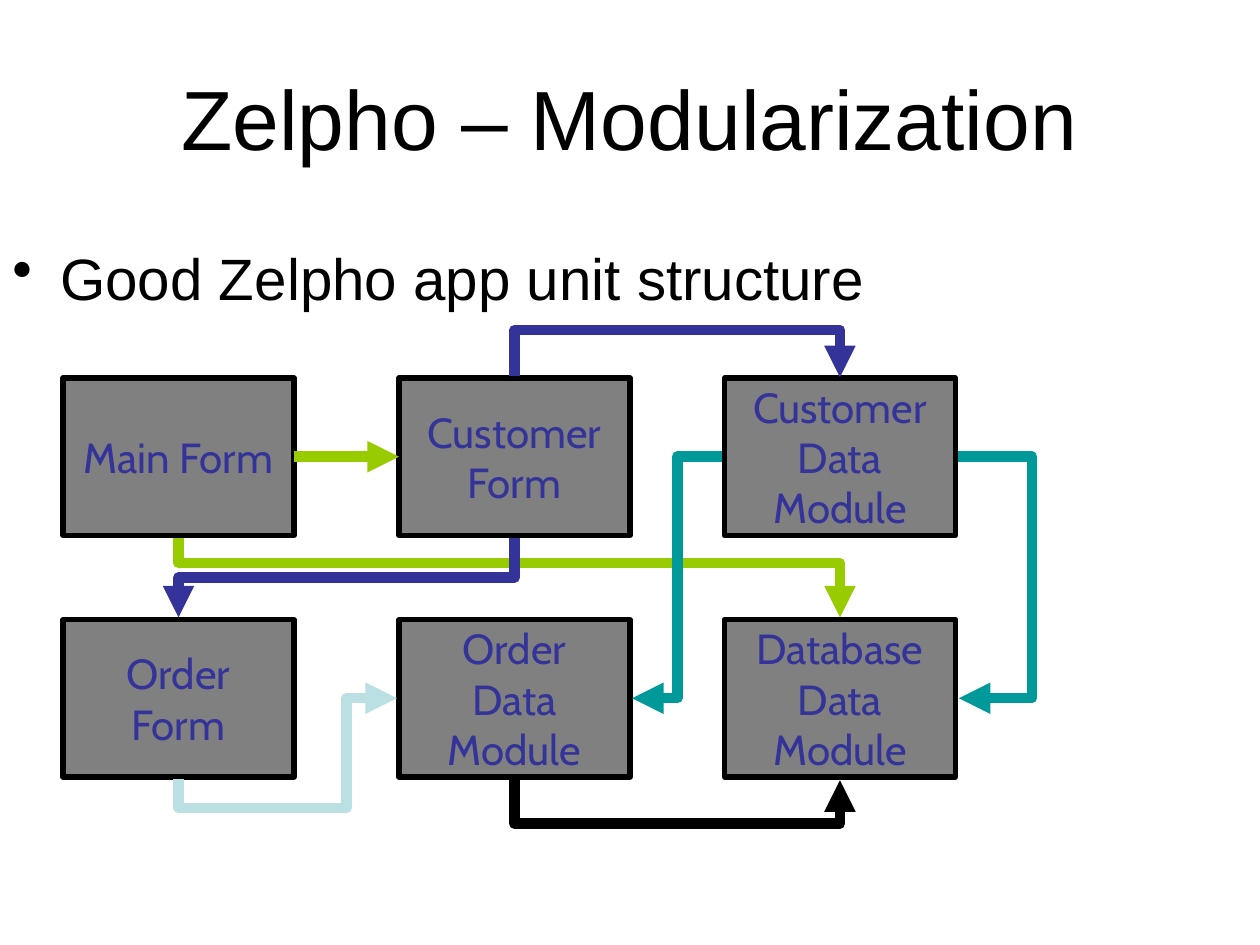
from lxml import etree
from pptx import Presentation
from pptx.dml.color import RGBColor
from pptx.enum.shapes import MSO_CONNECTOR, MSO_SHAPE
from pptx.enum.text import MSO_ANCHOR, PP_ALIGN
from pptx.oxml.ns import qn
from pptx.util import Inches, Pt

COLORS = {
    "black": "000000", "gray": "808080", "indigo": "333399",
    "green": "99CC00", "teal": "009999", "pale": "BBE0E3",
}

deck = Presentation()
deck.slide_width, deck.slide_height = Inches(10), Inches(7.5)
page = deck.slides.add_slide(deck.slide_layouts[6])
unit = deck.slide_width / 120


def style_text(paragraph, text, font, size, color):
    paragraph.text = text
    paragraph.font.name = font
    paragraph.font.size = Pt(size)
    paragraph.font.color.rgb = RGBColor.from_string(COLORS[color])


def style_arrow(connector, color):
    connector.line.width = Pt(6)
    connector.line.color.rgb = RGBColor.from_string(COLORS[color])
    etree.SubElement(connector.line._get_or_add_ln(), qn("a:tailEnd"), type="triangle")
    etree.SubElement(connector._element.spPr, qn("a:effectLst"))


title = page.shapes.add_textbox(Inches(0.27), Inches(0.3), Inches(9.45), Inches(1.25))
title.text_frame.word_wrap = True
title.text_frame.vertical_anchor = MSO_ANCHOR.MIDDLE
heading = title.text_frame.paragraphs[0]
heading.alignment = PP_ALIGN.CENTER
style_text(heading, "Zelpho – Modularization", "Arial", 48, "black")

body = page.shapes.add_textbox(0, Inches(1.83), Inches(8), Inches(0.67))
body.text_frame.word_wrap = True
body.text_frame.margin_top = Inches(0.09)
point = body.text_frame.paragraphs[0]
properties = point._p.get_or_add_pPr()
properties.set("marL", str(Inches(0.38)))
properties.set("indent", str(-Inches(0.38)))
etree.SubElement(properties, qn("a:buChar"), char="•")
style_text(point, "Good Zelpho app unit structure", "Arial", 33.3, "black")

columns, rows = [6, 38, 69], [36, 59]
box_width, box_height = 22, 15
labels = [
    ["Main Form", "Customer\nForm", "Customer\nData\nModule"],
    ["Order\nForm", "Order\nData\nModule", "Database\nData\nModule"],
]
boxes = {}
for top, names in zip(rows, labels):
    for left, name in zip(columns, names):
        box = page.shapes.add_shape(
            MSO_SHAPE.RECTANGLE, round(left * unit), round(top * unit),
            round(box_width * unit), round(box_height * unit))
        box.shadow.inherit = False
        box.fill.solid()
        box.fill.fore_color.rgb = RGBColor.from_string(COLORS["gray"])
        box.line.color.rgb = RGBColor.from_string(COLORS["black"])
        box.line.width = Pt(3)
        box.text_frame.word_wrap = False
        box.text_frame.vertical_anchor = MSO_ANCHOR.MIDDLE
        label = box.text_frame.paragraphs[0]
        label.alignment = PP_ALIGN.CENTER
        style_text(label, name, "Cabin", 24, "indigo")
        boxes[name] = box

straight = page.shapes.add_connector(MSO_CONNECTOR.STRAIGHT, 0, 0, 0, 0)
straight.begin_connect(boxes["Main Form"], 3)
straight.end_connect(boxes["Customer\nForm"], 1)
style_arrow(straight, "green")

gap, sliver = 0.2, 0.12
first, second, third = [left + box_width / 2 for left in columns]
upper, lower = [top + box_height / 2 for top in rows]
upper_top, lower_top = [top - gap for top in rows]
upper_base, lower_base = [top + box_height + gap for top in rows]
data_left, data_right = columns[2] - gap, columns[2] + box_width + gap
order_left, order_right = columns[1] - gap, columns[1] + box_width + gap

elbows = [
    ("green", (first, upper_base), (third, lower_top), 270, "H", [0.32]),
    ("indigo", (second, upper_top), (third, upper_top + sliver), 270, "H", [-37]),
    ("indigo", (second, upper_base), (first, lower_top), 90, "", [0.5]),
    ("teal", (data_left, upper), (order_right, lower), 180, "V", [0.5]),
    ("teal", (data_right, upper), (data_right + sliver, lower), 0, "", [60]),
    ("black", (second, lower_base), (third, lower_base + sliver), 270, "H", [36]),
    ("pale", (first, lower_base), (order_left, lower), 90, "HV", [-0.36, 0.77]),
]
for color, start, end, turn, flips, bends in elbows:
    width, height = abs(end[0] - start[0]), abs(end[1] - start[1])
    if turn in (90, 270):
        width, height = height, width
    left = (start[0] + end[0] - width) / 2
    top = (start[1] + end[1] - height) / 2
    elbow = page.shapes.add_connector(
        MSO_CONNECTOR.ELBOW, round(left * unit), round(top * unit),
        round((left + width) * unit), round((top + height) * unit))
    frame = elbow._element.spPr.find(qn("a:xfrm"))
    frame.set("rot", str(turn * 60000))
    for flip in flips:
        frame.set("flip" + flip, "1")
    geometry = elbow._element.spPr.find(qn("a:prstGeom"))
    geometry.set("prst", f"bentConnector{len(bends) + 2}")
    guides = geometry.find(qn("a:avLst"))
    for number, bend in enumerate(bends, 1):
        etree.SubElement(guides, qn("a:gd"), name=f"adj{number}", fmla=f"val {round(bend * 100000)}")
    style_arrow(elbow, color)

deck.save("out.pptx")
